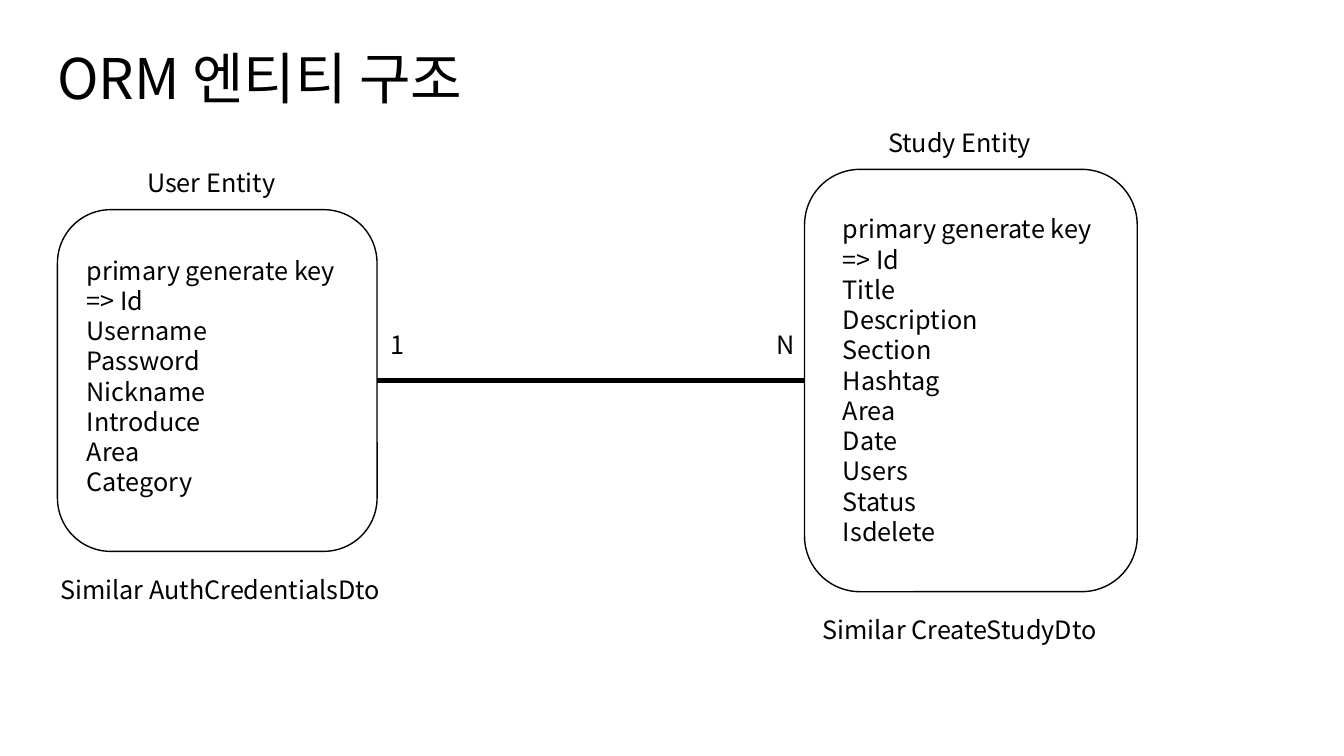
from lxml import etree
from pptx import Presentation
from pptx.dml.color import RGBColor
from pptx.enum.shapes import MSO_CONNECTOR, MSO_SHAPE
from pptx.enum.text import MSO_ANCHOR, MSO_AUTO_SIZE, PP_ALIGN
from pptx.oxml.ns import qn
from pptx.util import Inches, Pt

ROUNDED = MSO_SHAPE.ROUNDED_RECTANGLE
STRAIGHT = MSO_CONNECTOR.STRAIGHT
TOP = MSO_ANCHOR.TOP
LEFT = PP_ALIGN.LEFT
NO_FIT = MSO_AUTO_SIZE.NONE

FONT = "Noto Sans CJK KR"
COLORS = {"ink": "000000"}
LINE_HEIGHT = 1.2
LEFT_SIDE, RIGHT_SIDE = 1, 3

TITLE = {"text": "ORM 엔티티 구조", "at": (0.47, 0.38, 4.48, 0.77)}
KEY = ["primary generate key", "=> Id"]
ENTITIES = [
    {
        "name": "User Entity", "name_at": (1.36, 1.61, 1.92, 0.4),
        "frame": (0.57, 2.08, 3.17, 3.39),
        "fields": KEY + ["Username", "Password", "Nickname", "Introduce",
                         "Area", "Category"],
        "fields_at": (0.76, 2.48, 2.83, 2.52),
        "note": "Similar AuthCredentialsDto", "note_at": (0.5, 5.65, 3.62, 0.4),
        "count": "1", "count_at": (3.77, 3.22, 0.35, 0.4),
    },
    {
        "name": "Study Entity", "name_at": (8.71, 1.21, 1.92, 0.4),
        "frame": (7.98, 1.68, 3.3, 4.19),
        "fields": KEY + ["Title", "Description", "Section", "Hashtag", "Area",
                         "Date", "Users", "Status", "Isdelete"],
        "fields_at": (8.26, 2.07, 2.83, 3.43),
        "note": "Similar CreateStudyDto", "note_at": (8.06, 6.05, 3.62, 0.4),
        "count": "N", "count_at": (7.6, 3.22, 0.35, 0.4),
    },
]


def color(name):
    return RGBColor.from_string(COLORS[name])


def write(text, at, size=18, holder=None):
    area = [Inches(value) for value in at]
    box = holder or page.shapes.add_textbox(*area)
    box.left, box.top, box.width, box.height = area
    frame = box.text_frame
    frame.auto_size = NO_FIT
    frame.word_wrap = True
    frame.vertical_anchor = TOP
    frame.text = text
    for para in frame.paragraphs:
        para.alignment = LEFT
        para.line_spacing = Pt(size * LINE_HEIGHT)
        para.space_before = Pt(0)
        properties = para._p.get_or_add_pPr()
        properties.set("marL", "0")
        properties.set("indent", "0")
        etree.SubElement(properties, qn("a:buNone"))
        for span in para.runs:
            span.font.size = Pt(size)
            span.font.name = FONT
            span.font.color.rgb = color("ink")
            east_asian = etree.SubElement(span._r.get_or_add_rPr(), qn("a:ea"))
            east_asian.set("typeface", FONT)


def add_frame(at):
    box = page.shapes.add_shape(ROUNDED, *[Inches(value) for value in at])
    box.shadow.inherit = False
    box.fill.background()
    box.line.color.rgb = color("ink")
    box.line.width = Pt(1)
    return box


deck = Presentation()
deck.slide_width, deck.slide_height = Inches(13.33), Inches(7.5)
page = deck.slides.add_slide(deck.slide_layouts.get_by_name("Two Content"))
title, *bodies = page.placeholders

write(TITLE["text"], TITLE["at"], size=40, holder=title)

frames = []
for entity, body in zip(ENTITIES, bodies):
    frames.append(add_frame(entity["frame"]))
    write("\n".join(entity["fields"]), entity["fields_at"], holder=body)
    for part in ("name", "note", "count"):
        write(entity[part], entity[part + "_at"])

relation = page.shapes.add_connector(STRAIGHT, 0, 0, 0, 0)
relation.begin_connect(frames[0], RIGHT_SIDE)
relation.end_connect(frames[1], LEFT_SIDE)
relation.line.color.rgb = color("ink")
relation.line.width = Pt(3)
etree.SubElement(relation._element.spPr, qn("a:effectLst"))

deck.save("out.pptx")
